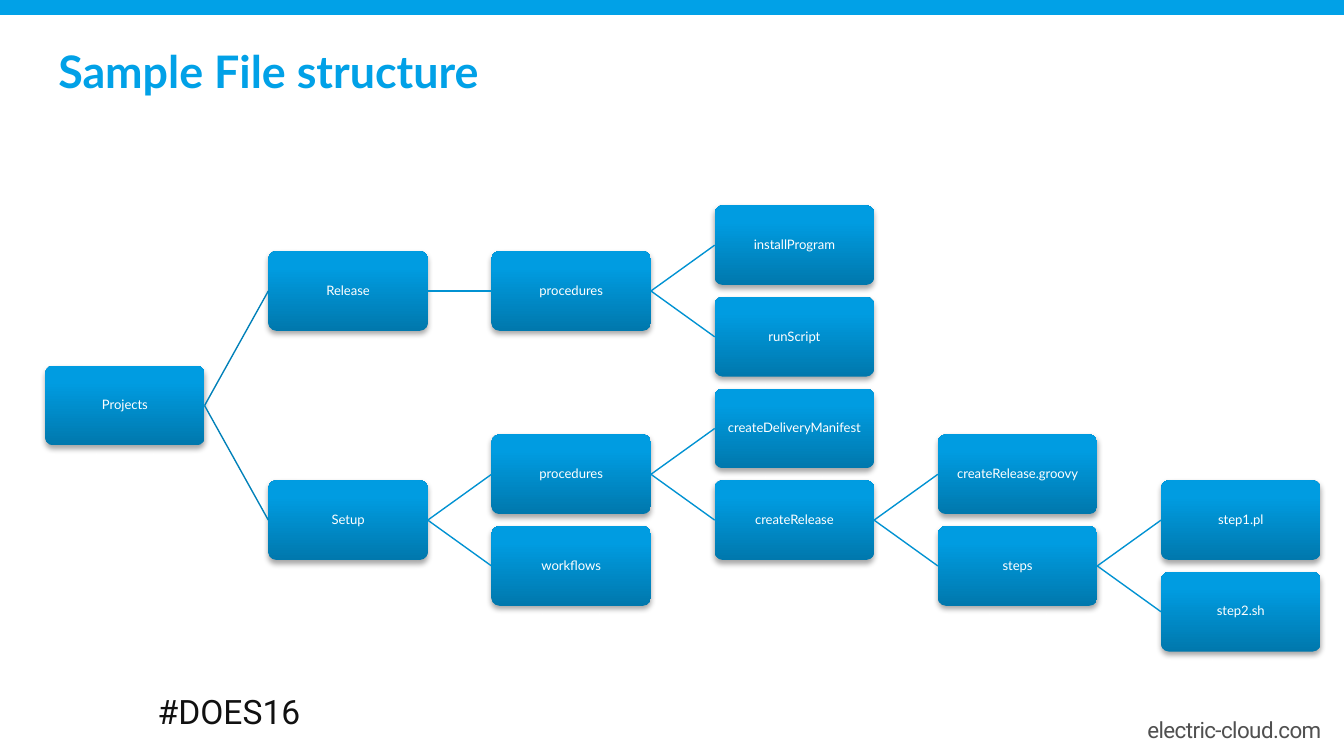
from pptx import Presentation, util as u
from pptx.dml.color import RGBColor
from pptx.enum import shapes, text
from pptx.oxml import parse_xml
from pptx.oxml.ns import nsdecls
from copy import deepcopy

Pt = u.Pt
BRAND = RGBColor(0x01, 0xA1, 0xE7)
WHITE = RGBColor(0xFF, 0xFF, 0xFF)
GREY = RGBColor(0x50, 0x50, 0x50)
INK = RGBColor(0x11, 0x11, 0x11)
BLACK = RGBColor(0x00, 0x00, 0x00)
ROOT_LINE = RGBColor(0x01, 0x81, 0xB9)
BRANCH_LINE = RGBColor(0x01, 0x92, 0xD2)
NODE_STOPS = [
    (0, RGBColor(0x00, 0x78, 0xAD)),
    (0.8, RGBColor(0x00, 0x9C, 0xE1)),
    (1, RGBColor(0x00, 0x9D, 0xE2)),
]

ROOT_SPREAD = 2.5
TREE = ("Projects", [
    ("Release", [
        ("procedures", [("installProgram", []), ("runScript", [])]),
    ]),
    ("Setup", [
        ("procedures", [
            ("createDeliveryManifest", []),
            ("createRelease", [
                ("createRelease.groovy", []),
                ("steps", [("step1.pl", []), ("step2.sh", [])]),
            ]),
        ]),
        ("workflows", []),
    ]),
])


def set_all(obj, values):
    for name, value in values.items():
        setattr(obj, name, value)


def write(tf, words, font, color, para, frame):
    set_all(tf, frame)
    p = tf.paragraphs[0]
    set_all(p, para)
    r = p.add_run()
    r.text = words
    set_all(r.font, font)
    r.font.color.rgb = color
    return r


def margins(size):
    sides = ("left", "top", "right", "bottom")
    return {f"margin_{side}": Pt(size) for side in sides}


def add_bar(s, box):
    sp = s.shapes.add_shape(shapes.MSO_SHAPE.RECTANGLE, *map(Pt, box))
    sp.shadow.inherit = False
    sp.fill.solid()
    sp.fill.fore_color.rgb = BRAND
    sp.line.fill.background()


def add_title(s, box, words):
    sp = s.shapes.title
    set_all(sp, dict(zip(("left", "top", "width", "height"), map(Pt, box))))
    write(sp.text_frame, words,
          {"name": "Lato", "size": Pt(24), "bold": True}, BRAND,
          {"alignment": text.PP_ALIGN.LEFT},
          {"vertical_anchor": text.MSO_ANCHOR.MIDDLE,
           "auto_size": text.MSO_AUTO_SIZE.NONE, "word_wrap": True})


def add_label(s, box, words, size, color, align, wrap=True):
    sp = s.shapes.add_textbox(*map(Pt, box))
    return write(sp.text_frame, words,
                 {"name": "Roboto", "size": Pt(size)}, color,
                 {"alignment": align}, {"word_wrap": wrap, **margins(0)})


def add_node(s, box, words):
    sp = s.shapes.add_shape(shapes.MSO_SHAPE.ROUNDED_RECTANGLE, *map(Pt, box))
    sp.adjustments[0] = 0.1
    sp.line.fill.background()
    sp.fill.gradient()
    sp.fill.gradient_angle = 90
    first = sp._element.spPr.find(".//{*}gs")
    first.addnext(deepcopy(first))
    for stop, (position, color) in zip(sp.fill.gradient_stops, NODE_STOPS):
        stop.position = position
        stop.color.rgb = color
    sp.shadow.inherit = False
    sp._element.spPr.find("{*}effectLst").append(parse_xml(
        f'<a:outerShdw {nsdecls("a")} blurRad="{Pt(3.1)}" dist="{Pt(1.8)}" '
        f'dir="5400000" rotWithShape="0"><a:srgbClr val="{BLACK}">'
        f'<a:alpha val="35000"/></a:srgbClr></a:outerShdw>'))
    write(sp.text_frame, words, {"name": "Lato", "size": Pt(7)}, WHITE,
          {"alignment": text.PP_ALIGN.CENTER, "line_spacing": 0.9},
          {"vertical_anchor": text.MSO_ANCHOR.MIDDLE, "word_wrap": True,
           **margins(1.2)})
    return sp


def add_link(s, parent, child, color):
    cx = s.shapes.add_connector(shapes.MSO_CONNECTOR.STRAIGHT, 0, 0, 0, 0)
    cx.begin_connect(parent, 3)
    cx.end_connect(child, 1)
    cx.line.width = Pt(0.75)
    cx.line.color.rgb = color
    cx._element.spPr.append(parse_xml(f'<a:effectLst {nsdecls("a")}/>'))


def place(node, row=0, level=0):
    name, children = node
    spread = 1 if level else ROOT_SPREAD
    start = row - spread * (len(children) - 1) / 2
    kids = [place(kid, start + i * spread, level + 1)
            for i, kid in enumerate(children)]
    return name, row, level, kids


def flatten(placed):
    yield placed
    for kid in placed[3]:
        yield from flatten(kid)


def add_tree(s, box, tree):
    left, top, width, _ = box
    root = place(tree)
    nodes = list(flatten(root))
    first_row = min(node[1] for node in nodes)
    w = width / (1 + 1.4 * max(node[2] for node in nodes))
    h = w / 2

    def draw(node):
        name, row, level, kids = node
        sp = add_node(s, (left + 1.4 * w * level,
                          top + 1.15 * h * (row - first_row), w, h), name)
        for kid in kids:
            add_link(s, sp, draw(kid), BRANCH_LINE if level else ROOT_LINE)
        return sp

    draw(root)


def main():
    prs = Presentation()
    set_all(prs, {"slide_width": Pt(720), "slide_height": Pt(405)})
    s = prs.slides.add_slide(prs.slide_layouts[5])
    add_bar(s, (0, 0, 720, 8))
    add_title(s, (24, 20, 642, 36), "Sample File structure")
    add_tree(s, (24.2, 110, 683.2, 239), TREE)
    add_label(s, (84.5, 370, 84, 22), "#DOES16", 18, INK,
              text.PP_ALIGN.LEFT, wrap=False)
    r = add_label(s, (606, 383.8, 102, 14), "electric-cloud.com", 12, GREY,
                  text.PP_ALIGN.RIGHT)
    r.font._element.set("spc", "-30")
    prs.save("out.pptx")


if __name__ == "__main__":
    main()
